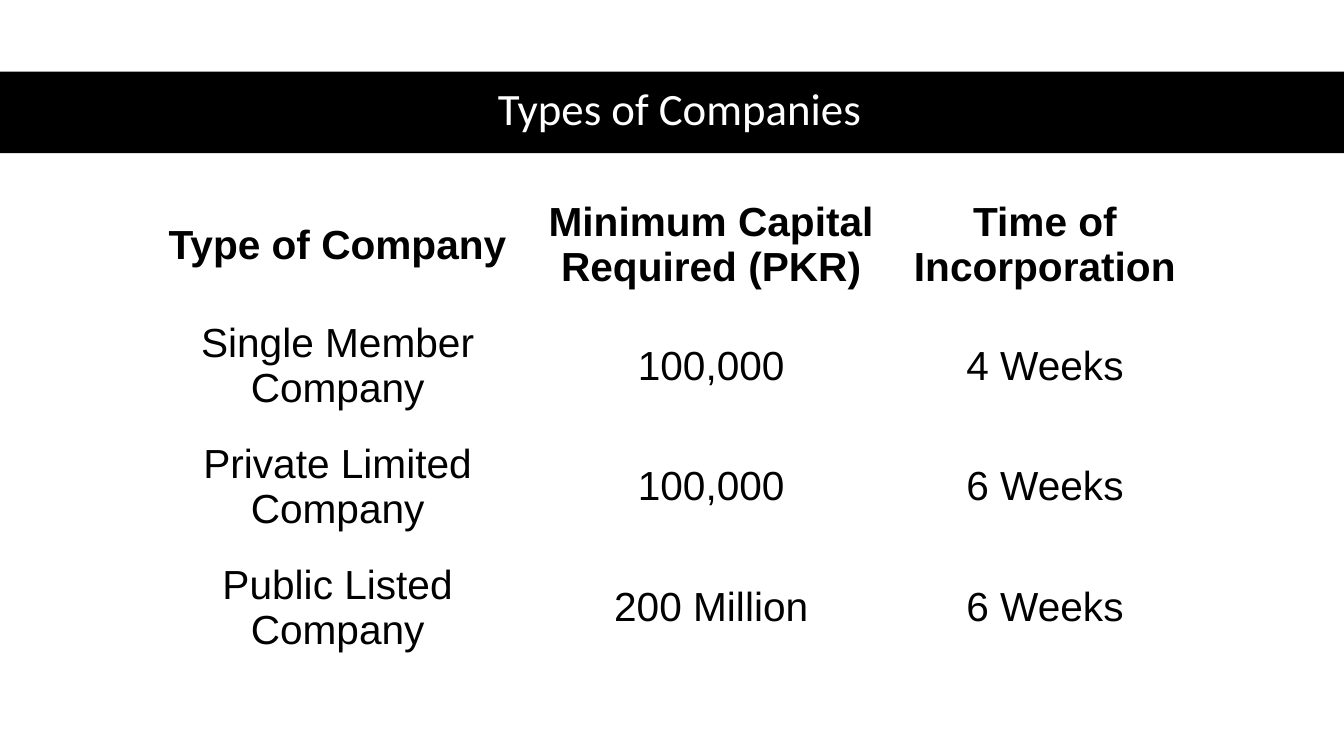
from pptx import Presentation
from pptx.dml.color import RGBColor
from pptx.enum import shapes, text
from pptx.util import Inches, Pt

BLACK = "000000"
WHITE = "FFFFFF"
COLUMN_WIDTHS = (3.78, 3.63, 2.99)
ROW_HEIGHT = 1.2
COMPANY_ROWS = (
    ("Type of Company", "Minimum Capital Required (PKR)", "Time of Incorporation"),
    ("Single Member Company", "100,000", "4 Weeks"),
    ("Private Limited Company", "100,000", "6 Weeks"),
    ("Public Listed Company", "200 Million", "6 Weeks"),
)


def color(value):
    return RGBColor.from_string(value)


def format_paragraph(paragraph, font_name, size, font_color, bold=False):
    paragraph.alignment = text.PP_ALIGN.CENTER
    paragraph.font.name = font_name
    paragraph.font.size = Pt(size)
    paragraph.font.bold = bold
    paragraph.font.color.rgb = color(font_color)


def add_title(slide, wording):
    title = slide.shapes.title
    title.left, title.top = Inches(0.61), Inches(0.7)
    title.width, title.height = Inches(12.26), Inches(0.81)
    title.text_frame.text = wording
    title.text_frame.vertical_anchor = text.MSO_ANCHOR.MIDDLE
    paragraph = title.text_frame.paragraphs[0]
    paragraph.line_spacing = 0.9
    format_paragraph(paragraph, "Calibri", 32, WHITE)
    return title


def add_banner_behind(slide, title):
    banner = slide.shapes.add_shape(
        shapes.MSO_SHAPE.RECTANGLE, 0, Inches(0.71), Inches(13.33), Inches(0.81))
    banner.shadow.inherit = False
    banner.fill.solid()
    banner.fill.fore_color.rgb = color(BLACK)
    banner.line.fill.background()
    title.element.addprevious(banner.element)


def fill_cell(cell, wording, bold):
    cell.fill.background()
    cell.vertical_anchor = text.MSO_ANCHOR.MIDDLE
    cell.margin_left = cell.margin_right = Inches(0.09)
    cell.margin_top = cell.margin_bottom = Inches(0.09)
    cell.text = wording
    format_paragraph(cell.text_frame.paragraphs[0], "Arial", 29, BLACK, bold)


def add_company_table(slide):
    """Add the borderless-looking table, with its first row in bold."""
    table = slide.shapes.add_table(
        len(COMPANY_ROWS), len(COLUMN_WIDTHS), Inches(1.46), Inches(1.83),
        Inches(sum(COLUMN_WIDTHS)), Inches(ROW_HEIGHT * len(COMPANY_ROWS))).table
    table.first_row = table.horz_banding = False
    for column, width in zip(table.columns, COLUMN_WIDTHS):
        column.width = Inches(width)
    for row_index, (row, wordings) in enumerate(zip(table.rows, COMPANY_ROWS)):
        row.height = Inches(ROW_HEIGHT)
        for cell, wording in zip(row.cells, wordings):
            fill_cell(cell, wording, bold=row_index == 0)


def main():
    presentation = Presentation()
    presentation.slide_width = Inches(13.33)
    presentation.slide_height = Inches(7.5)
    slide = presentation.slides.add_slide(presentation.slide_layouts[5])
    title = add_title(slide, "Types of Companies")
    add_banner_behind(slide, title)
    add_company_table(slide)
    presentation.save("out.pptx")


if __name__ == "__main__":
    main()
